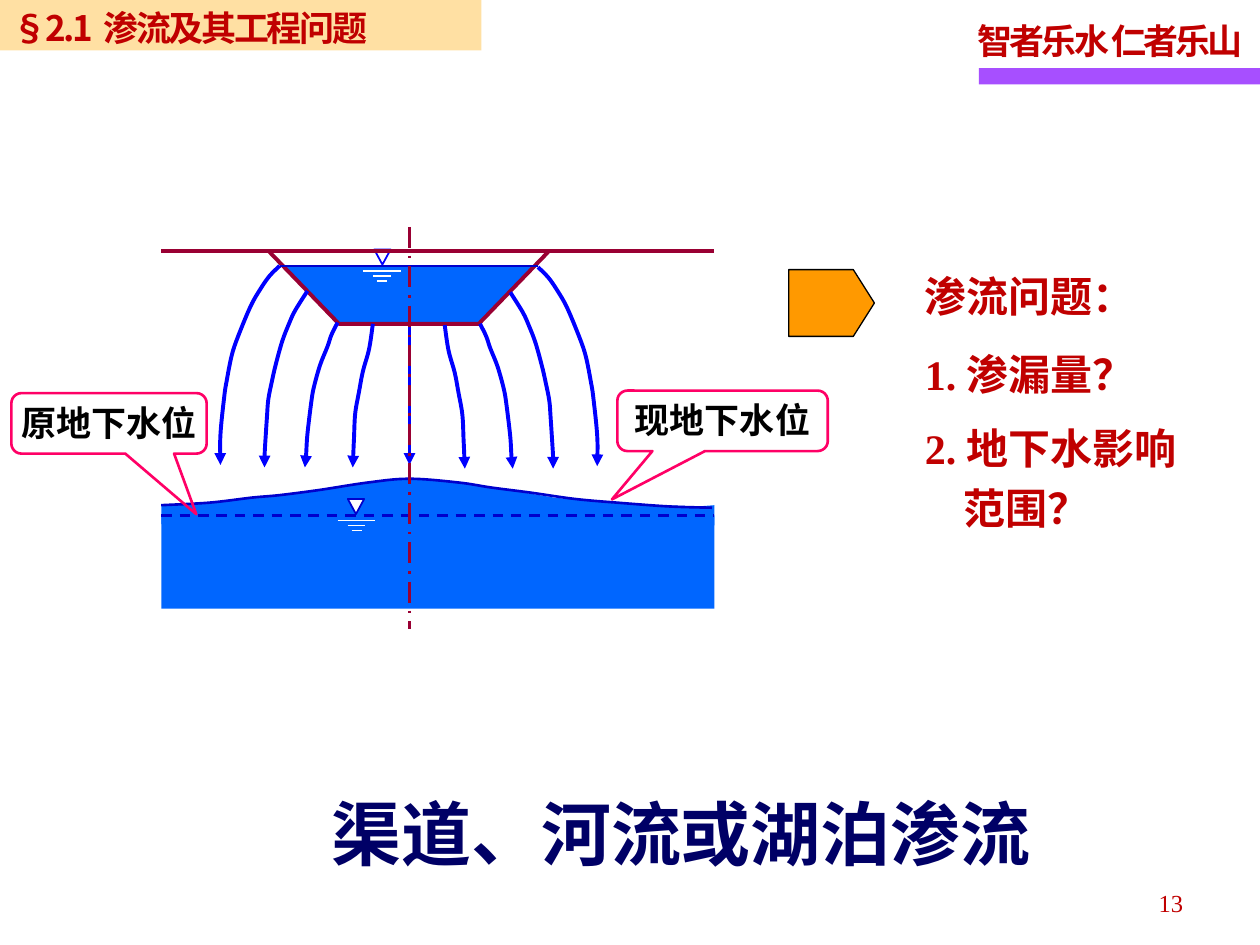
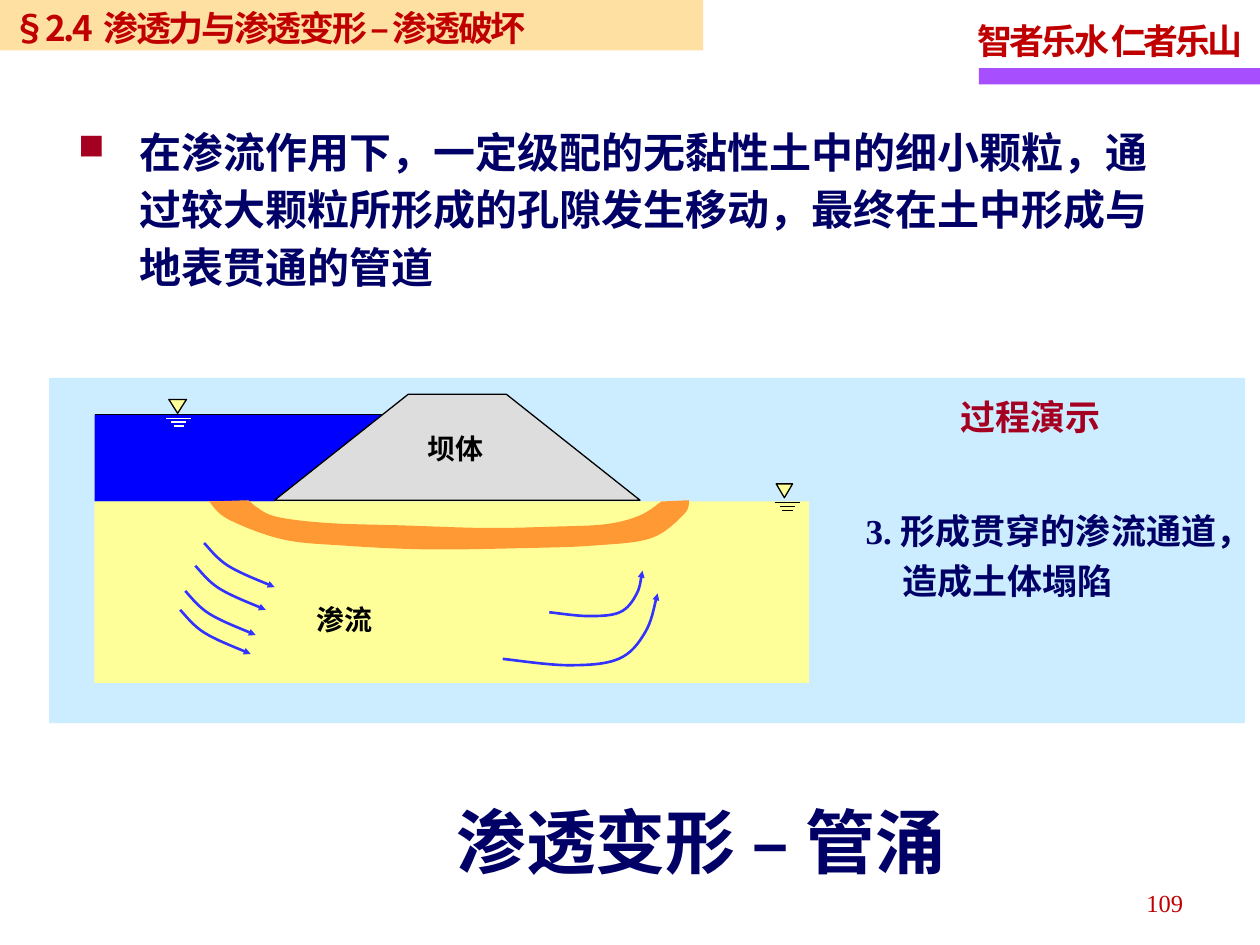
from lxml.etree import SubElement
from pptx import Presentation
from pptx.dml.color import RGBColor
from pptx.enum.dml import MSO_LINE
from pptx.enum.shapes import MSO_CONNECTOR, MSO_SHAPE
from pptx.enum.text import MSO_ANCHOR, PP_ALIGN
from pptx.oxml.ns import qn
from pptx.util import Pt

PX = 9144  # EMU per px, 100 px to the inch

WHITE = RGBColor(0xFF, 0xFF, 0xFF)
BLACK = RGBColor(0, 0, 0)
RED = RGBColor(0xC0, 0, 0)
WINE = RGBColor(0x99, 0, 0x33)
CRIMSON = RGBColor(0xA5, 0, 0x21)
NAVY = RGBColor(0, 0, 0x66)
BLUE = RGBColor(0, 0, 0xFF)
DEEP = RGBColor(0, 0, 0xCC)
FLOW = RGBColor(0x33, 0x33, 0xFF)
WATER = RGBColor(0, 0x66, 0xFF)
PURPLE = RGBColor(0xA7, 0x4F, 0xFF)
GOLD = RGBColor(0xFF, 0xCC, 0x66)
ORANGE = RGBColor(0xFF, 0x99, 0)
PIPE = RGBColor(0xFF, 0x99, 0x33)
PINK = RGBColor(0xFF, 0, 0x66)
SKY = RGBColor(0xCC, 0xEC, 0xFF)
SAND = RGBColor(0xFF, 0xFF, 0x99)
GREY = RGBColor(0xDD, 0xDD, 0xDD)

SERIF, SANS, HAN = "Times New Roman", "Arial", "Noto Sans CJK SC"

# Content: "|" marks a wider gap inside a line
MOTTO = "智者乐水 仁者乐山"
CANAL = dict(head="§2.1|渗流及其工程问题", band=382, page="13")
DAM = dict(head="§2.4|渗透力与渗透变形 – 渗透破坏", band=558, page="109")

# text, space before in points, left indent in px
ASKS = [("渗流问题：", 0, 0), ("1. 渗漏量？", 11, 0),
        ("2. 地下水影响", 8, 0), ("范围？", 0, 31)]
# text, box, tail offset
LABELS = [("原地下水位", (9, 312, 155, 48), (0.447, 1.503)),
          ("现地下水位", (490, 310, 167, 48), (-0.526, 1.3))]
PIPING = ("在渗流作用下，一定级配的无黏性土中的细小颗粒，"
          "通过较大颗粒所形成的孔隙发生移动，最终在土中形成与地表贯通的管道")
STEP = "3. 形成贯穿的渗流通道，造成土体塌陷"

# Seepage lines left of the canal axis; the right ones mirror them
AXIS, MIRROR = 325, 649
STREAMS = [
    [(222, 211), (214, 219), (207, 229), (199, 243), (189, 267), (184, 282),
     (180, 302), (178, 315), (175, 345), (175, 369)],
    [(244, 231), (234, 247), (229, 258), (224, 271), (219, 289), (216, 302),
     (213, 317), (212, 330), (211, 345), (210, 362), (210, 371)],
    [(268, 256), (263, 266), (260, 275), (254, 290), (249, 308), (247, 320),
     (244, 345), (243, 361), (242, 371)],
    [(296, 257), (293, 277), (288, 295), (285, 311), (282, 328), (281, 348),
     (280, 371)],
]
# Raised ground water: filled body and its upper line
MOUND = [(128, 416), (128, 401), (167, 399), (230, 392), (277, 385),
         (317, 380), (336, 380), (392, 387), (440, 395), (493, 400),
         (525, 401), (554, 402), (567, 401), (567, 417)]
TABLE = [(128, 401), (166, 399), (200, 395), (222, 393), (253, 389),
         (292, 383), (325, 380), (364, 383), (390, 387), (421, 391),
         (456, 396), (490, 399), (531, 402), (565, 403)]

# Piping channel and flow arrows under the dam
ROOF = [(197, 397), (203, 402), (219, 410), (259, 415), (320, 417), (385, 419),
        (438, 418), (481, 416), (508, 409), (525, 398), (547, 397)]
FLOOR = [(543, 408), (517, 427), (471, 433), (415, 435), (339, 436),
         (273, 433), (224, 428), (181, 412), (166, 398)]
SEEP = [(0, 0), (19, 18), (56, 35)]
STARTS = [(155, 449), (162, 431), (147, 469), (143, 484)]
RISERS = [[(436, 486), (467, 489), (492, 486), (505, 472), (510, 453)],
          [(399, 523), (451, 528), (491, 523), (512, 502), (522, 471)]]

# Water level marks: drop below the top and half width of each stroke
WIDE = [(17, 15), (21, 7), (25, 4)]
NARROW = [(15, 10), (18, 6), (21, 4)]


def scale(*nums):
    return [round(n * PX) for n in nums]


def paint(item, fill=None, line=None, width=0.75):
    item.shadow.inherit = False
    if fill is None:
        item.fill.background()
    else:
        item.fill.solid()
        item.fill.fore_color.rgb = fill
    if line is None:
        item.line.fill.background()
    else:
        item.line.color.rgb = line
        item.line.width = Pt(width)
    return item


def point(item, size="med"):
    ln = item.line._get_or_add_ln()
    SubElement(ln, qn("a:tailEnd"), type="triangle", w=size, len=size)


def shape(slide, kind, box, fill=None, line=None, width=0.75):
    return paint(slide.shapes.add_shape(kind, *scale(*box)), fill, line, width)


def stroke(slide, ends, color, width, dash=None):
    item = slide.shapes.add_connector(MSO_CONNECTOR.STRAIGHT, *scale(*ends))
    SubElement(item._element.spPr, qn("a:effectLst"))
    item.line.color.rgb = color
    item.line.width = Pt(width)
    if dash:
        item.line.dash_style = dash
    return item


def outline(slide, dots, fill=None, line=None, width=0.75, runs=()):
    """Filled outlines are closed; runs are index ranges drawn as curves."""
    dots = [tuple(scale(*dot)) for dot in dots]
    pen = slide.shapes.build_freeform(*dots[0])
    pen.add_line_segments(dots[1:], close=fill is not None)
    item = pen.convert_to_shape()
    for first, last in runs:
        bend(item, first, last)
    return paint(item, fill, line, width)


def bend(item, first, last):
    """Turn straight segments between two knots into one smooth curve."""
    track = next(item._element.iter(qn("a:pathLst")))[0]
    legs = list(track)[first:last + 1]
    knots = [(int(leg[-1].get("x")), int(leg[-1].get("y"))) for leg in legs]
    ring = [knots[0], *knots, knots[-1]]
    for leg, a, b, c, d in zip(legs[1:], ring, ring[1:], ring[2:], ring[3:]):
        near = [q + (r - p) / 6 for p, q, r in zip(a, b, c)]
        far = [r - (s - q) / 6 for q, r, s in zip(b, c, d)]
        curve = SubElement(track, qn("a:cubicBezTo"))
        for x, y in (near, far, c):
            SubElement(curve, qn("a:pt"), x=str(round(x)), y=str(round(y)))
        track.replace(leg, curve)


def arrow(slide, knots, color, width, size="med"):
    item = outline(slide, knots, None, color, width, [(0, len(knots) - 1)])
    point(item, size)


def mark(slide, left, top, size, mid, rows, ink, fill, line, width):
    """Water level sign: triangle pointing down over three strokes."""
    item = shape(slide, MSO_SHAPE.ISOSCELES_TRIANGLE, (left, top, *size),
                 fill, line, width)
    item.rotation = 180
    for drop, half in rows:
        y = top + drop
        stroke(slide, (mid - half, y, mid + half, y), ink, width)


def write(para, text, size, color, font=SERIF, bold=True, lead=1.3, tight=0):
    para.line_spacing = Pt(round(size * lead, 1))
    for n, part in enumerate(text.split("|")):
        for word, space in ([(" ", 1.6)] if n else []) + [(part, tight)]:
            run = para.add_run()
            run.text = word
            run.font.name = font
            run.font.size = Pt(size)
            run.font.bold = bold
            run.font.color.rgb = color
            props = run.font._element
            SubElement(props, qn("a:ea"), typeface=HAN)
            if space:
                props.set("spc", str(round(space * 100)))


def frame(item, side=0, anchor=MSO_ANCHOR.TOP):
    body = item.text_frame
    body.word_wrap = True
    body.vertical_anchor = anchor
    body.margin_left = body.margin_right = side * PX
    body.margin_top = body.margin_bottom = 0
    return body


def text(slide, box, words, size, color, align=PP_ALIGN.LEFT, hang=0, **look):
    para = frame(slide.shapes.add_textbox(*scale(*box))).paragraphs[0]
    para.alignment = align
    if hang:
        indent(para, hang, -hang)
    write(para, words, size, color, **look)
    return para


def indent(para, left, first=0):
    props = para._p.get_or_add_pPr()
    props.set("marL", str(left * PX))
    props.set("indent", str(first * PX))
    return props


def begin(deck):
    slide = deck.slides.add_slide(deck.slide_layouts[6])
    shape(slide, MSO_SHAPE.RECTANGLE, (777, 54, 223, 13), PURPLE)
    text(slide, (776, 13, 224, 40), MOTTO, 20, RED, tight=-1.7)
    return slide


def finish(slide, head, band, page):
    text(slide, (706, 703, 233, 30), page, 14, RED, PP_ALIGN.RIGHT, bold=False)
    bar = shape(slide, MSO_SHAPE.RECTANGLE, (0, 0, band, 40), GOLD)
    tone = bar._element.spPr.find(qn("a:solidFill"))[0]
    SubElement(tone, qn("a:alpha"), val="60000")
    para = frame(bar, 10, MSO_ANCHOR.MIDDLE).paragraphs[0]
    para.alignment = PP_ALIGN.LEFT
    write(para, head, 20, RED, HAN, lead=1.36, tight=-1.4)


def canal(deck):
    slide = begin(deck)
    # Ground water and canal water
    shape(slide, MSO_SHAPE.RECTANGLE, (128, 409, 439, 74), WATER)
    outline(slide, MOUND, WATER)
    outline(slide, [(224, 212), (425, 211), (380, 257), (270, 258)], WATER)

    # Questions
    body = frame(slide.shapes.add_textbox(*scale(734, 207, 204, 220)))
    for n, (words, before, left) in enumerate(ASKS):
        para = body.add_paragraph() if n else body.paragraphs[0]
        indent(para, left)
        if before:
            para.space_before = Pt(before)
        write(para, words, 24, RED, lead=1.42)
    tag = shape(slide, MSO_SHAPE.PENTAGON, (626, 214, 68, 53), ORANGE, BLACK)
    tag.adjustments[0] = 0.316
    text(slide, (243, 622, 595, 70), "渠道、河流或湖泊渗流", 40, NAVY,
         PP_ALIGN.CENTER, font=SANS)

    # Ground and canal bed
    stroke(slide, (128, 199, 214, 199), WINE, 2.25)
    outline(slide, [(213, 199), (269, 257), (380, 257), (435, 200)],
            None, WINE, 2.25)
    stroke(slide, (434, 199, 567, 199), WINE, 2.25)

    # Seepage lines
    for knots in STREAMS:
        arrow(slide, knots, BLUE, 2.25)
        arrow(slide, [(MIRROR - x, y + 1) for x, y in knots], BLUE, 2.25)
    point(stroke(slide, (AXIS, 259, AXIS, 369), BLUE, 2.25))

    # Water levels
    mark(slide, 297, 198, (13, 12), 303, WIDE, WHITE, WHITE, BLUE, 1)
    stroke(slide, (222, 211, 427, 211), DEEP, 1.5)
    mark(slide, 276, 396, (13, 12), 283, WIDE, WHITE, WHITE, DEEP, 1)
    outline(slide, TABLE, None, DEEP, 1.5, [(0, len(TABLE) - 1)])

    # Callouts
    for words, box, tail in LABELS:
        note = shape(slide, MSO_SHAPE.ROUNDED_RECTANGULAR_CALLOUT, box,
                     None, PINK, 1.5)
        for n, value in enumerate((*tail, 0.167)):
            note.adjustments[n] = value
        para = frame(note, 0, MSO_ANCHOR.MIDDLE).paragraphs[0]
        para.alignment = PP_ALIGN.CENTER
        write(para, words, 20, BLACK, SANS, lead=1.15)

    # Ground top, former level and axis
    stroke(slide, (214, 199, 442, 199), WINE, 2.25)
    stroke(slide, (128, 409, 567, 409), DEEP, 1.5, MSO_LINE.DASH)
    stroke(slide, (AXIS, 180, AXIS, 499), WINE, 1.5, MSO_LINE.LONG_DASH_DOT)
    finish(slide, **CANAL)


def dam(deck):
    slide = begin(deck)
    shape(slide, MSO_SHAPE.RECTANGLE, (39, 300, 949, 274), SKY)
    # Reservoir
    outline(slide, [(75, 398), (75, 329), (310, 329), (218, 398)], BLUE)
    stroke(slide, (75, 329, 308, 329), BLACK, 0.75)
    mark(slide, 134, 317, (14, 11), 142, NARROW, WHITE, SAND, BLACK, 0.75)

    # Ground, dam and channel
    shape(slide, MSO_SHAPE.RECTANGLE, (75, 398, 567, 144), SAND)
    outline(slide, [(508, 397), (402, 313), (324, 313), (218, 397)],
            GREY, BLACK)
    text(slide, (339, 340, 60, 30), "坝体", 16, BLACK)
    turn = len(ROOF) - 1
    outline(slide, ROOF + FLOOR, PIPE,
            runs=[(1, turn - 1), (turn, turn + len(FLOOR))])

    # Flow arrows
    for x, y in STARTS:
        arrow(slide, [(x + dx, y + dy) for dx, dy in SEEP], FLOW, 1.5, "sm")
    text(slide, (251, 476, 100, 30), "渗流", 16, BLACK)
    for knots in RISERS:
        arrow(slide, knots, FLOW, 1.5, "sm")
    mark(slide, 616, 384, (13, 11), 625, NARROW, BLACK, SAND, BLACK, 0.75)

    # Texts
    text(slide, (687, 398, 282, 80), STEP, 20, NAVY, hang=29, lead=1.43)
    text(slide, (762, 311, 140, 33), "过程演示", 20, CRIMSON)
    text(slide, (362, 628, 400, 67), "渗透变形 – 管涌", 40, NAVY)
    para = text(slide, (62, 94, 874, 138), PIPING, 24, NAVY,
                hang=49, lead=1.38)
    props = para._p.get_or_add_pPr()
    tint = SubElement(props, qn("a:buClr"))
    SubElement(tint, qn("a:srgbClr"), val=str(CRIMSON))
    SubElement(props, qn("a:buSzPct"), val="85000")
    SubElement(props, qn("a:buChar"), char="■")
    finish(slide, **DAM)


def main():
    deck = Presentation()
    deck.slide_width, deck.slide_height = scale(1000, 750)
    canal(deck)
    dam(deck)
    deck.save("out.pptx")


if __name__ == "__main__":
    main()
